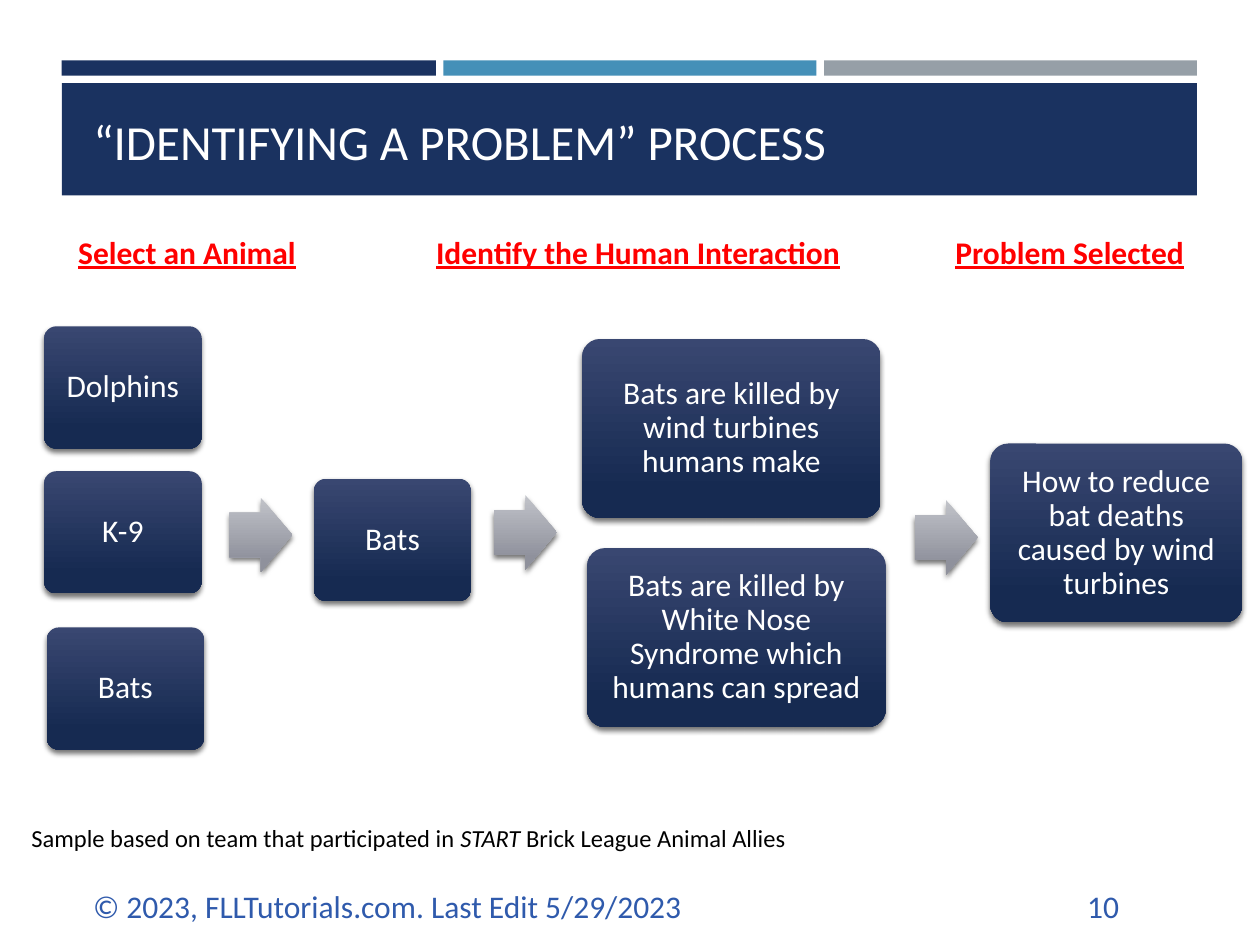
from lxml.etree import SubElement
from pptx import Presentation
from pptx.dml.color import RGBColor
from pptx.enum.shapes import MSO_SHAPE as Shape
from pptx.enum.text import MSO_ANCHOR as Anchor, PP_ALIGN as Align
from pptx.oxml.ns import qn
from pptx.util import Inches, Pt

NAVY = RGBColor(0x1A, 0x32, 0x60)
SKY = RGBColor(0x45, 0x90, 0xB8)
GRAY = RGBColor(0x96, 0x9F, 0xA7)
WHITE = RGBColor(0xFF, 0xFF, 0xFF)
BLACK = RGBColor(0, 0, 0)
RED = RGBColor(0xFF, 0, 0)
FOOTER_BLUE = RGBColor(0x2F, 0x5A, 0xAC)
BOX_GRADIENT = (RGBColor(0x39, 0x47, 0x71), RGBColor(0x16, 0x2A, 0x51))
ARROW_GRADIENT = (RGBColor(0xC1, 0xC3, 0xC9), RGBColor(0x8F, 0x91, 0x9C))

presentation = Presentation()
presentation.slide_width, presentation.slide_height = Inches(10), Inches(7.5)
slide = presentation.slides.add_slide(presentation.slide_layouts[5])
column = presentation.slide_width / 100
row = presentation.slide_height / 75


def grid(left, top, width, height):
    return int(left * column), int(top * row), int(width * column), int(height * row)


def write(shape, text, size, color, align=Align.LEFT, anchor=Anchor.TOP):
    frame = shape.text_frame
    frame.word_wrap = True
    frame.vertical_anchor = anchor
    frame.text = text
    paragraph = frame.paragraphs[0]
    paragraph.alignment = align
    font = paragraph.font
    font.name, font.size, font.color.rgb = "Calibri", Pt(size), color
    return paragraph


bars = [
    (4.9, 4.8, 29.7, 1.2, NAVY),
    (35.2, 4.8, 29.6, 1.2, SKY),
    (65.4, 4.8, 29.6, 1.2, GRAY),
    (4.9, 6.6, 90.1, 8.9, NAVY),
]
for *cell, color in bars:
    bar = slide.shapes.add_shape(Shape.RECTANGLE, *grid(*cell))
    bar.shadow.inherit = False
    bar.fill.solid()
    bar.fill.fore_color.rgb = color
    bar.line.fill.background()

title = slide.shapes.title
title.left, title.top, title.width, title.height = grid(6.4, 7.5, 87.4, 6.5)
write(title, "“IDENTIFYING A PROBLEM” PROCESS", 28, WHITE, anchor=Anchor.BOTTOM)
title.element.getparent().append(title.element)

headings = [
    (4.5, 20.7, "Select an Animal"),
    (33, 35.3, "Identify the Human Interaction"),
    (74.8, 20.2, "Problem Selected"),
]
for left, width, text in headings:
    heading = slide.shapes.add_textbox(*grid(left, 18, width, 4))
    paragraph = write(heading, text, 18, RED, Align.CENTER)
    paragraph.font.bold = paragraph.font.underline = True

small, large, final = (12.5, 9.7), (23.7, 14.2), (20, 14.2)
arrow = (5, 5.9)
steps = [
    (3.5, 25.9, small, "Dolphins"),
    (3.5, 37.4, small, "K-9"),
    (3.7, 49.8, small, "Bats"),
    (18.2, 39.5, arrow, ""),
    (24.9, 38, small, "Bats"),
    (39.2, 39.3, arrow, ""),
    (46.2, 26.9, large, "Bats are killed by wind turbines humans make"),
    (46.6, 43.5, large, "Bats are killed by White Nose Syndrome which humans can spread"),
    (72.6, 39.7, arrow, ""),
    (78.6, 35.2, final, "How to reduce bat deaths caused by wind turbines"),
]
for left, top, size, text in steps:
    kind = Shape.ROUNDED_RECTANGLE if text else Shape.RIGHT_ARROW
    step = slide.shapes.add_shape(kind, *grid(left, top, *size))
    step.adjustments[0] = 0.1 if text else 0.6
    step.line.fill.background()
    step.fill.gradient()
    step.fill.gradient_angle = 270
    colors = BOX_GRADIENT if text else ARROW_GRADIENT
    for stop, color, position in zip(step.fill.gradient_stops, colors, (0, 0.84)):
        stop.color.rgb = color
        stop.position = position
    step.shadow.inherit = False
    effects = step.element.spPr.find(qn("a:effectLst"))
    shadow = SubElement(effects, qn("a:outerShdw"), blurRad=str(Pt(3)), dist=str(Pt(2)),
                        dir="5400000", algn="ctr", rotWithShape="0")
    shade = SubElement(shadow, qn("a:srgbClr"), val="000000")
    SubElement(shade, qn("a:alpha"), val="55000")
    if text:
        frame = step.text_frame
        frame.margin_left = frame.margin_right = Inches(0.1)
        frame.margin_top = frame.margin_bottom = Inches(0.1)
        write(step, text, 18, WHITE, Align.CENTER, Anchor.MIDDLE).line_spacing = 0.9

sample = slide.shapes.add_textbox(*grid(1.5, 64.8, 90.5, 3.4))
paragraph = write(sample, "Sample based on team that participated in ", 14, BLACK)
program = paragraph.add_run()
program.text = "START"
program.font.italic = True
paragraph.add_run().text = " Brick League Animal Allies"

footers = [
    (6.4, 53.3, "© 2023, FLLTutorials.com. Last Edit 5/29/2023"),
    (85.3, 8.4, "10"),
]
for left, width, text in footers:
    footer = slide.shapes.add_textbox(*grid(left, 69.9, width, 4))
    write(footer, text, 18, FOOTER_BLUE)

presentation.save("out.pptx")
